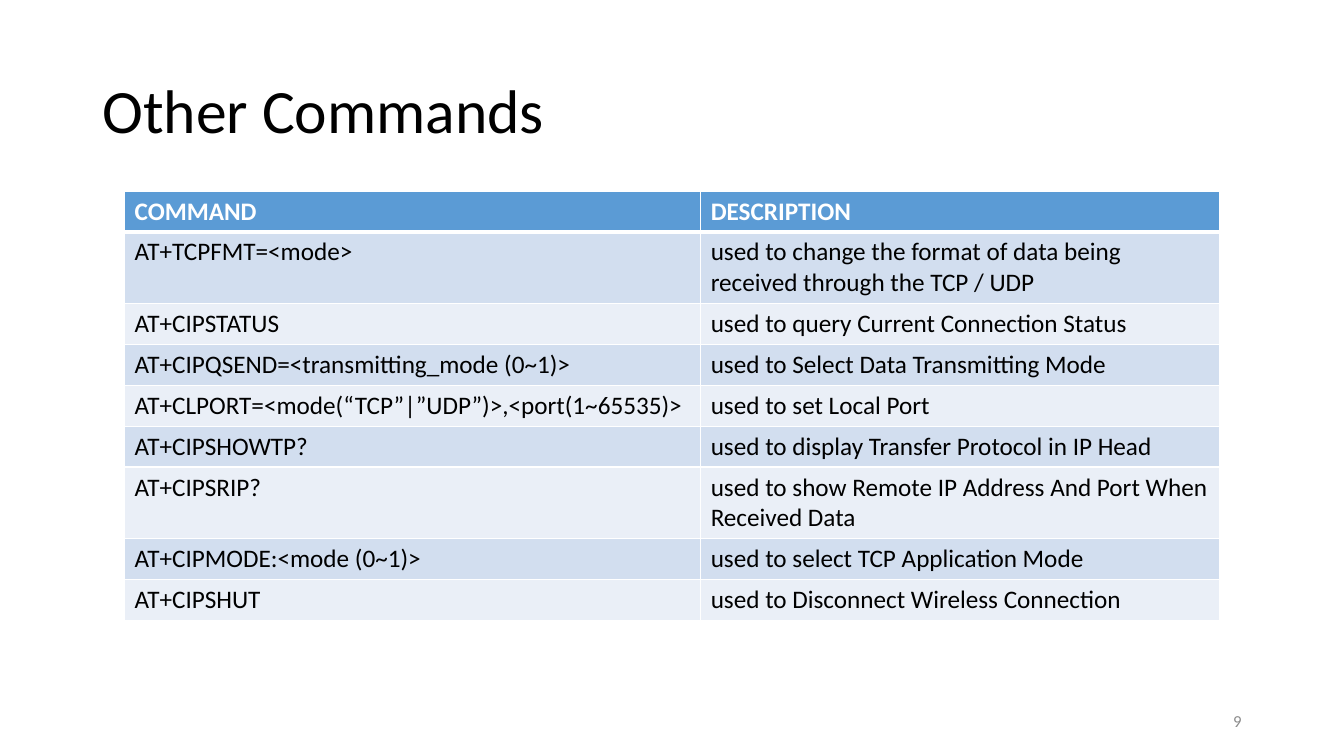
from typing import NamedTuple

from lxml import etree
from pptx import Presentation
from pptx.dml.color import RGBColor
from pptx.enum.text import MSO_ANCHOR, PP_ALIGN
from pptx.oxml.ns import qn
from pptx.util import Pt

LEFT, RIGHT = PP_ALIGN.LEFT, PP_ALIGN.RIGHT
MIDDLE = MSO_ANCHOR.MIDDLE

FONT = "Calibri"
BLACK = RGBColor(0x00, 0x00, 0x00)
WHITE = RGBColor(0xFF, 0xFF, 0xFF)
GREY = RGBColor(0x8C, 0x8C, 0x8C)
HEADER_BLUE = RGBColor(0x5B, 0x9B, 0xD5)
BAND_COLOURS = (RGBColor(0xEA, 0xEF, 0xF7), RGBColor(0xD2, 0xDE, 0xEF))

COLUMN_WIDTHS = (Pt(411.5), Pt(371))
ROW_HEIGHT = Pt(29.2)


class Box(NamedTuple):
    left: Pt
    top: Pt
    width: Pt
    height: Pt


class Command(NamedTuple):
    syntax: str
    description: str


TITLE_BOX = Box(Pt(66), Pt(28.75), Pt(828), Pt(104.4))
NUMBER_BOX = Box(Pt(678), Pt(500.5), Pt(216), Pt(28.75))

ROWS = (
    Command("COMMAND", "DESCRIPTION"),
    Command("AT+TCPFMT=<mode>",
            "used to change the format of data being received through the TCP / UDP"),
    Command("AT+CIPSTATUS", "used to query Current Connection Status"),
    Command("AT+CIPQSEND=<transmitting_mode (0~1)>",
            "used to Select Data Transmitting Mode"),
    Command("AT+CLPORT=<mode(“TCP”|”UDP”)>,<port(1~65535)>",
            "used to set Local Port"),
    Command("AT+CIPSHOWTP?", "used to display Transfer Protocol in IP Head"),
    Command("AT+CIPSRIP?",
            "used to show Remote IP Address And Port When Received Data"),
    Command("AT+CIPMODE:<mode (0~1)>", "used to select TCP Application Mode"),
    Command("AT+CIPSHUT", "used to Disconnect Wireless Connection"),
)


def write(text_frame, text: str, size: Pt, colour: RGBColor,
          align: PP_ALIGN = LEFT, bold: bool = False) -> None:
    text_frame.text = text
    text_frame.word_wrap = True
    para = text_frame.paragraphs[0]
    para.alignment = align
    font = para.runs[0].font
    font.name, font.size, font.bold = FONT, size, bold
    font.color.rgb = colour


def add_borders(cell, bottom_width: Pt) -> None:
    """Draw white cell borders; call before filling, as lines come first in the XML."""
    properties = cell._tc.get_or_add_tcPr()
    for side in ("L", "R", "T", "B"):
        width = bottom_width if side == "B" else Pt(1)
        line = etree.SubElement(properties, qn(f"a:ln{side}"), w=str(width))
        fill = etree.SubElement(line, qn("a:solidFill"))
        etree.SubElement(fill, qn("a:srgbClr"), val=str(WHITE))


def add_title(page) -> None:
    title = page.shapes.title
    title.left, title.top, title.width, title.height = TITLE_BOX
    write(title.text_frame, "Other Commands", Pt(44), BLACK)
    title.text_frame.vertical_anchor = MIDDLE
    title.text_frame.paragraphs[0].line_spacing = 0.9


def add_command_table(page) -> None:
    table = page.shapes.add_table(
        len(ROWS), len(COLUMN_WIDTHS), Pt(89), Pt(136.4),
        sum(COLUMN_WIDTHS), ROW_HEIGHT * len(ROWS)).table
    for column, width in zip(table.columns, COLUMN_WIDTHS):
        column.width = width
    for index, command in enumerate(ROWS):
        header = index == 0
        table.rows[index].height = ROW_HEIGHT
        for cell, text in zip(table.rows[index].cells, command):
            write(cell.text_frame, text, Pt(18), WHITE if header else BLACK, bold=header)
            add_borders(cell, Pt(3) if header else Pt(1))
            cell.fill.solid()
            cell.fill.fore_color.rgb = HEADER_BLUE if header else BAND_COLOURS[index % 2]


def add_page_number(page) -> None:
    text_frame = page.shapes.add_textbox(*NUMBER_BOX).text_frame
    write(text_frame, "9", Pt(12), GREY, RIGHT)
    text_frame.vertical_anchor = MIDDLE


def main() -> None:
    deck = Presentation()
    deck.slide_width, deck.slide_height = Pt(960), Pt(540)
    page = deck.slides.add_slide(deck.slide_layouts.get_by_name("Title Only"))
    add_title(page)
    add_command_table(page)
    add_page_number(page)
    deck.save("out.pptx")


if __name__ == "__main__":
    main()
